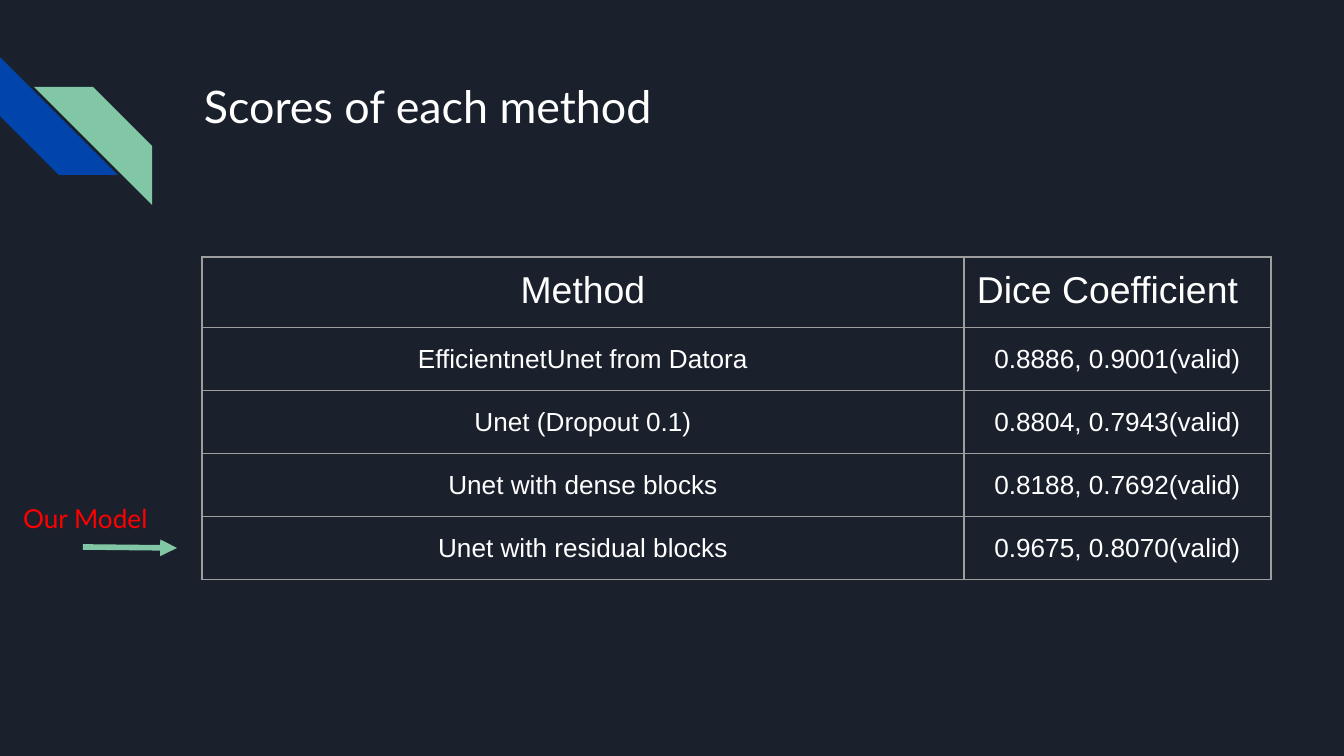
from dataclasses import dataclass

from lxml import etree
from pptx import Presentation
from pptx.dml.color import RGBColor
from pptx.enum.shapes import MSO_CONNECTOR, MSO_SHAPE
from pptx.enum.text import MSO_ANCHOR, PP_ALIGN
from pptx.oxml.ns import qn
from pptx.util import Emu, Pt

STRAIGHT = MSO_CONNECTOR.STRAIGHT
STRIPE = MSO_SHAPE.DIAGONAL_STRIPE
TOP, MIDDLE = MSO_ANCHOR.TOP, MSO_ANCHOR.MIDDLE
LEFT, CENTER = PP_ALIGN.LEFT, PP_ALIGN.CENTER

EMU_PER_PX = 914400 / 134.4
INSET = 13


@dataclass(frozen=True)
class Theme:
    background: str = "1B212C"
    blue: str = "0145AC"
    green: str = "82C7A5"
    text: str = "FFFFFF"
    highlight: str = "FF0000"
    border: str = "9E9E9E"
    heading_font: str = "Lato"
    table_font: str = "Arial"
    title_size: int = 24
    header_size: int = 20
    body_size: int = 14
    border_width: float = 0.75
    arrow_width: int = 3


THEME = Theme()

SCORES = [
    ("Method", "Dice Coefficient"),
    ("EfficientnetUnet from Datora", "0.8886, 0.9001(valid)"),
    ("Unet (Dropout 0.1)", "0.8804, 0.7943(valid)"),
    ("Unet with dense blocks", "0.8188, 0.7692(valid)"),
    ("Unet with residual blocks", "0.9675, 0.8070(valid)"),
]


def px(length):
    return Emu(round(length * EMU_PER_PX))


def box(*lengths):
    return [px(length) for length in lengths]


def rgb(color):
    return RGBColor.from_string(color)


def set_font(paragraph, name, size, color):
    font = paragraph.font
    font.name, font.size = name, Pt(size)
    font.color.rgb = rgb(color)


def set_insets(holder):
    holder.margin_left = holder.margin_right = px(INSET)
    holder.margin_top = holder.margin_bottom = px(INSET)


def add_stripe(slide, left, top, rotation, color):
    stripe = slide.shapes.add_shape(STRIPE, *box(left, top, 118, 118))
    stripe.adjustments[0] = 0.5
    stripe.rotation = rotation
    stripe.shadow.inherit = False
    stripe.fill.solid()
    stripe.fill.fore_color.rgb = rgb(color)
    stripe.line.fill.background()


def add_label(slide, text, place, size, color, line_spacing=1.0):
    frame = slide.shapes.add_textbox(*box(*place)).text_frame
    frame.word_wrap = True
    set_insets(frame)
    paragraph = frame.paragraphs[0]
    paragraph.text = text
    paragraph.line_spacing = line_spacing
    set_font(paragraph, THEME.heading_font, size, color)


def add_borders(cell):
    properties = cell._tc.get_or_add_tcPr()
    # Borders must come before the fill in the cell properties
    for position, side in enumerate(("a:lnL", "a:lnR", "a:lnT", "a:lnB")):
        border = etree.Element(qn(side), w=str(Pt(THEME.border_width)))
        fill = etree.SubElement(border, qn("a:solidFill"))
        etree.SubElement(fill, qn("a:srgbClr"), val=THEME.border)
        properties.insert(position, border)


def fill_cell(cell, text, size, align, anchor):
    cell.fill.background()
    set_insets(cell)
    cell.vertical_anchor = anchor
    paragraph = cell.text_frame.paragraphs[0]
    paragraph.text = text
    paragraph.alignment = align
    set_font(paragraph, THEME.table_font, size, THEME.text)
    add_borders(cell)


def add_score_table(slide, left, top, widths, header_height, row_height):
    heights = [header_height] + [row_height] * (len(SCORES) - 1)
    place = box(left, top, sum(widths), sum(heights))
    table = slide.shapes.add_table(len(SCORES), len(widths), *place).table
    table.first_row = table.horz_banding = False
    for column, width in zip(table.columns, widths):
        column.width = px(width)
    for row, height in zip(table.rows, heights):
        row.height = px(height)
    for r, scores in enumerate(SCORES):
        for c, text in enumerate(scores):
            is_header = r == 0
            fill_cell(
                table.cell(r, c),
                text,
                THEME.header_size if is_header else THEME.body_size,
                LEFT if is_header and c else CENTER,
                TOP if is_header else MIDDLE,
            )


def add_arrow(slide, start, end, color):
    arrow = slide.shapes.add_connector(STRAIGHT, *box(*start, *end))
    arrow.line.color.rgb = rgb(color)
    arrow.line.width = Pt(THEME.arrow_width)
    etree.SubElement(arrow.line._get_or_add_ln(), qn("a:tailEnd"), type="triangle")
    etree.SubElement(arrow._element.spPr, qn("a:effectLst"))


def main():
    presentation = Presentation()
    presentation.slide_width, presentation.slide_height = box(1344, 756)
    slide = presentation.slides.add_slide(presentation.slide_layouts[6])
    slide.background.fill.solid()
    slide.background.fill.fore_color.rgb = rgb(THEME.background)

    # Corner decoration
    add_stripe(slide, 0, 57, 270, THEME.blue)
    add_stripe(slide, 34, 87, 90, THEME.green)

    # Title
    add_label(slide, "Scores of each method", (191, 58, 1035, 134),
              THEME.title_size, THEME.text, line_spacing=1.15)

    # Scores
    add_score_table(slide, 202, 257, (762, 307), 69, 63)

    # Marker for the last row
    add_arrow(slide, (83, 547), (177, 548), THEME.green)
    add_label(slide, "Our Model", (10, 489, 192, 58),
              THEME.body_size, THEME.highlight)

    presentation.save("out.pptx")


if __name__ == "__main__":
    main()
